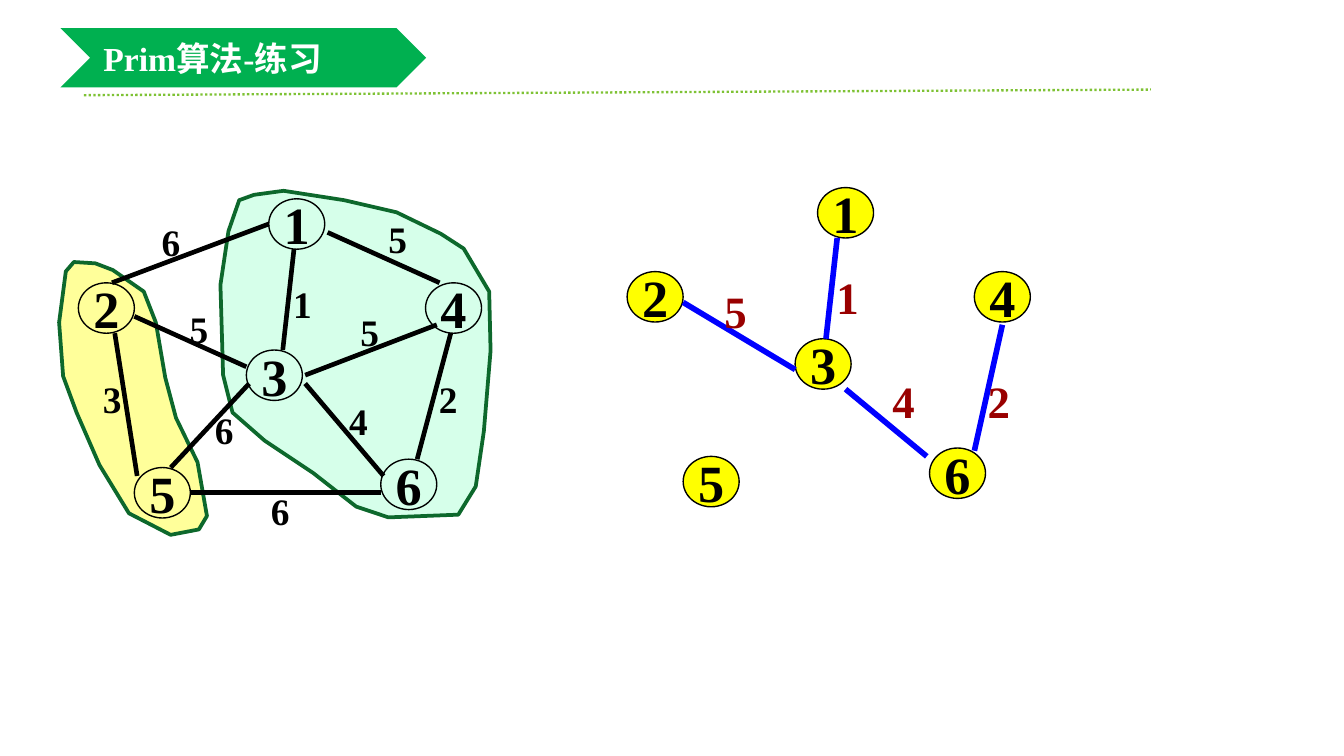
from lxml.etree import SubElement
from pptx import Presentation
from pptx.dml.color import RGBColor
from pptx.enum.dml import MSO_LINE_DASH_STYLE as Dash
from pptx.enum.shapes import MSO_CONNECTOR as Connector, MSO_SHAPE as Shape
from pptx.enum.text import MSO_ANCHOR as Anchor, MSO_AUTO_SIZE as AutoSize, PP_ALIGN as Align
from pptx.oxml.ns import qn
from pptx.util import Inches, Pt

FONT = "Times New Roman"
COLORS = {name: RGBColor.from_string(value) for name, value in {
    "banner": "00B050", "rule": "7EC234", "outline": "0D682C",
    "visited": "99FFCC", "waiting": "FFFF66", "tree_node": "FFFF00",
    "tree_edge": "0000FF", "tree_weight": "990000",
    "black": "000000", "white": "FFFFFF"}.items()}

presentation = Presentation()
presentation.slide_width, presentation.slide_height = Inches(10), Inches(5.625)
slide = presentation.slides.add_slide(presentation.slide_layouts[5])
shapes = slide.shapes
CELL = presentation.slide_width / 120  # square grid, 120 columns wide


def write(shape, text, size, color, align=Align.LEFT, anchor=Anchor.TOP, wrap=False):
    frame = shape.text_frame
    frame.text, frame.word_wrap, frame.vertical_anchor = text, wrap, anchor
    frame.auto_size = AutoSize.NONE
    paragraph = frame.paragraphs[0]
    paragraph.alignment = align
    font = paragraph.font
    font.name, font.size, font.bold = FONT, Pt(size), True
    font.color.rgb = COLORS[color]


def draw_line(ends, color, width):
    line = shapes.add_connector(Connector.STRAIGHT, *[round(end * CELL) for end in ends])
    line.line.color.rgb, line.line.width = COLORS[color], Pt(width)
    SubElement(line.element.spPr, qn("a:effectLst"))
    return line


# Dotted rule under the title
draw_line((7.5, 8.5, 102.75, 8), "rule", 1.25).line.dash_style = Dash.ROUND_DOT

# Hand-drawn regions: outline points in hundredths of an inch, opacity in percent
regions = [
    ("waiting", 66, [
        (55, 195), (49, 202), (44, 240), (47, 280), (57, 307), (74, 346),
        (96, 382), (127, 398), (148, 394), (154, 384), (147, 344), (131, 311),
        (123, 281), (116, 240), (107, 217), (84, 201), (71, 196)]),
    ("visited", 40, [
        (178, 149), (170, 172), (164, 212), (166, 279), (173, 307), (197, 328),
        (233, 352), (265, 377), (289, 385), (341, 383), (354, 362), (360, 321),
        (365, 261), (364, 217), (345, 185), (328, 174), (295, 158), (256, 149),
        (211, 142), (189, 145)]),
]
for color, opacity, points in regions:
    builder = shapes.build_freeform(*points[0], scale=Inches(0.01))
    builder.add_line_segments(points[1:], close=True)
    region = builder.convert_to_shape()
    region.shadow.inherit = False
    region.fill.solid()
    region.fill.fore_color.rgb = COLORS[color]
    fill_color = region.element.spPr.find(qn("a:solidFill"))[0]
    SubElement(fill_color, qn("a:alpha")).set("val", str(opacity * 1000))
    region.line.color.rgb, region.line.width = COLORS["outline"], Pt(2)

# Title on a chevron banner
banner = shapes.add_shape(Shape.CHEVRON, Inches(0.45), Inches(0.21), Inches(2.72), Inches(0.44))
banner.shadow.inherit = False
banner.fill.solid()
banner.fill.fore_color.rgb = COLORS["banner"]
banner.line.fill.background()
title = shapes.title
title.left, title.top = Inches(0.67), banner.top
title.width, title.height = Inches(2.28), banner.height
write(title, "Prim算法-练习", 18, "white", anchor=Anchor.MIDDLE, wrap=True)
title.element.getparent().append(title.element)  # bring in front of the banner

# Graph and its spanning tree, in grid cells: nodes share one layout
nodes = {"1": (24, 17.75), "3": (22, 31.25), "2": (7, 25.25),
         "4": (38, 25.25), "5": (12, 41.75), "6": (34, 41)}
# Each edge: end points, weight, weight position
graph_edges = [
    ((29.25, 20.75, 39.25, 25.25), "5", (33.5, 18.75)),
    ((12, 28.25, 22, 32.75), "5", (15.75, 26.75)),
    ((27.25, 33.5, 39, 29), "5", (31, 27)),
    ((26.25, 22.25, 25.25, 31.25), "1", (25, 24.5)),
    ((10.25, 29.75, 12.25, 42.5), "3", (8, 33)),
    ((15.25, 41.75, 22.25, 34.25), "6", (18, 35.75)),
    ((27.25, 34.25, 34.25, 42.5), "4", (30, 35)),
    ((40.25, 29.75, 37.25, 41), "2", (38, 33)),
    ((17, 44, 34, 44), "6", (23, 43)),
    ((10, 25.25, 24, 20), "6", (13.25, 19)),
]
tree_edges = [
    ((74.75, 21.25, 73.75, 30.25), "1", (73.5, 23.5)),
    ((75.5, 34.75, 82.75, 40.75), "4", (78.5, 32.75)),
    ((89.5, 29, 87, 40.25), "2", (87, 32.75)),
    ((71, 33, 61, 27), "5", (63.5, 24.75)),
]
# Column and row shift, node fill, edges, edge colour and width, weight colour and size
diagrams = [
    (0, 0, None, graph_edges, "black", 2.5, "black", 20),
    (49, -1, "tree_node", tree_edges, "tree_edge", 3, "tree_weight", 24),
]
for shift_x, shift_y, node_fill, edges, edge_color, edge_width, weight_color, size in diagrams:
    for name, (column, row) in nodes.items():
        box = (column + shift_x, row + shift_y, 5, 4.5)
        node = shapes.add_shape(Shape.OVAL, *[round(value * CELL) for value in box])
        node.shadow.inherit = False
        if node_fill:
            node.fill.solid()
            node.fill.fore_color.rgb = COLORS[node_fill]
        else:
            node.fill.background()
        node.line.color.rgb, node.line.width = COLORS["black"], Pt(0.75)
        write(node, name, 28, "black", Align.CENTER, Anchor.MIDDLE)
    for ends, weight, (column, row) in edges:
        draw_line(ends, edge_color, edge_width)
        box = (column, row, 0.2 * size, 0.26 * size)
        label = shapes.add_textbox(*[round(value * CELL) for value in box])
        write(label, weight, size, weight_color)

presentation.save("out.pptx")
